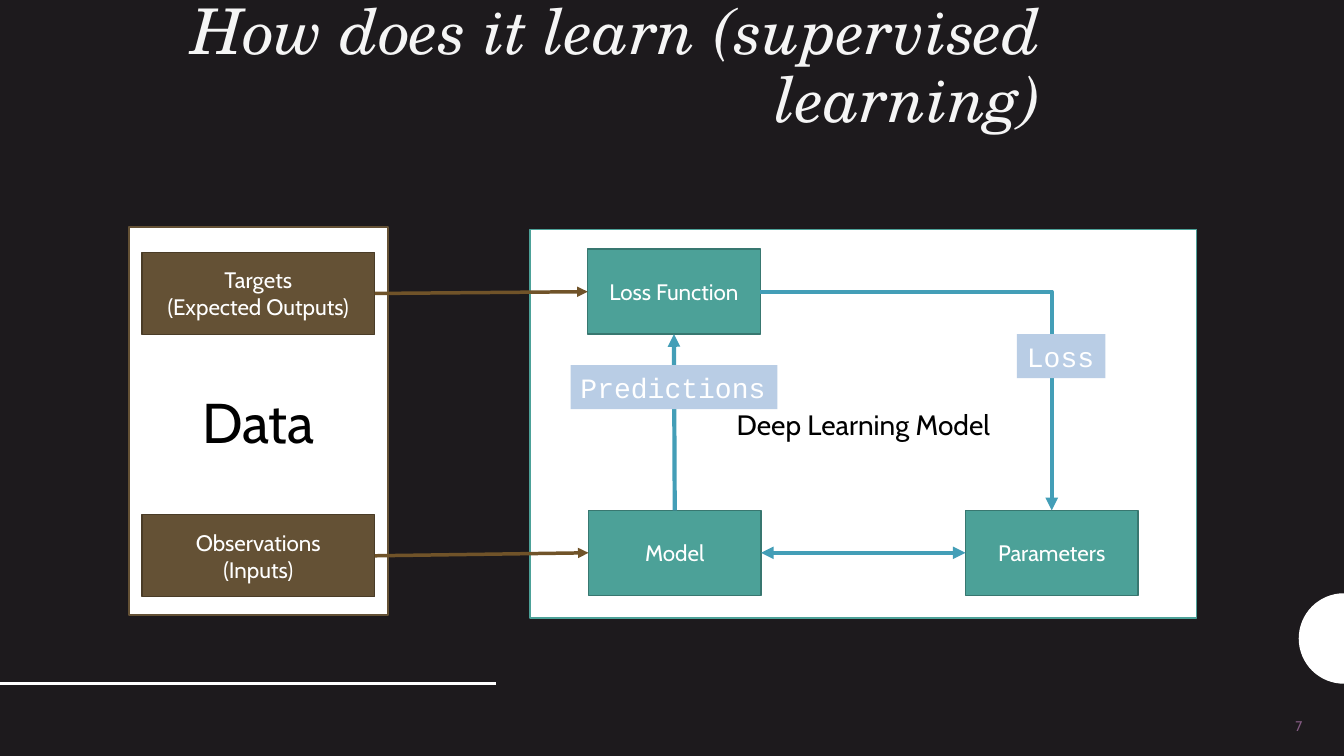
from math import cos, pi, sin
from lxml.etree import SubElement
from pptx import Presentation
from pptx.dml.color import RGBColor
from pptx.enum.shapes import MSO_CONNECTOR, MSO_SHAPE
from pptx.enum.text import MSO_ANCHOR, PP_ALIGN
from pptx.oxml.ns import qn
from pptx.util import Cm, Pt

DARK = RGBColor(0x1D, 0x1A, 0x1D)
WHITE = RGBColor(0xFF, 0xFF, 0xFF)
BLACK = RGBColor(0x00, 0x00, 0x00)
PALE = RGBColor(0xF5, 0xF5, 0xF5)
PLUM = RGBColor(0x83, 0x5B, 0x82)
BROWN = RGBColor(0x64, 0x51, 0x35)
UMBER = RGBColor(0x4A, 0x3C, 0x27)
OCHRE = RGBColor(0x70, 0x53, 0x29)
TEAL = RGBColor(0x4C, 0xA1, 0x98)
PINE = RGBColor(0x38, 0x77, 0x70)
BLUE = RGBColor(0x43, 0x9E, 0xB7)
MIST = RGBColor(0xB9, 0xCD, 0xE5)

deck = Presentation()
deck.slide_width, deck.slide_height = Cm(33.87), Cm(19.05)
slide = deck.slides.add_slide(deck.slide_layouts[6])
slide.background.fill.solid()
slide.background.fill.fore_color.rgb = DARK
shapes = slide.shapes


def write(shape, text, size, color, font="Cabin", align=PP_ALIGN.CENTER,
          anchor=MSO_ANCHOR.MIDDLE, wrap=True):
    frame = shape.text_frame
    frame.text = text
    frame.word_wrap = wrap
    frame.vertical_anchor = anchor
    for para in frame.paragraphs:
        para.alignment = align
        for run in para.runs:
            run.font.name = font
            run.font.size = Pt(size)
            run.font.color.rgb = color


def add_box(left, top, width, height, fill, edge=None):
    box = shapes.add_shape(MSO_SHAPE.RECTANGLE, Cm(left), Cm(top), Cm(width), Cm(height))
    box.shadow.inherit = False
    box.fill.solid()
    box.fill.fore_color.rgb = fill
    if edge is None:
        box.line.fill.background()
    else:
        box.line.color.rgb = edge
        box.line.width = Pt(1)
    return box


# Half disc on the right edge
mid, rad, steps = 16.09, 1.14, 32
turns = [pi * i / steps for i in range(steps + 1)]
dots = [(Cm(33.87 - rad * sin(t)), Cm(mid - rad * cos(t))) for t in turns]
path = shapes.build_freeform(*dots[0])
path.add_line_segments(dots[1:], close=True)
disc = path.convert_to_shape()
disc.shadow.inherit = False
disc.fill.solid()
disc.fill.fore_color.rgb = WHITE
disc.line.fill.background()

# Title and page number
title = shapes.add_textbox(Cm(1.14), Cm(0.36), Cm(25.35), Cm(3.2))
write(title, "How does it learn (supervised learning)", 45, PALE, "TeX Gyre Schola",
      PP_ALIGN.RIGHT, MSO_ANCHOR.BOTTOM)
head = title.text_frame.paragraphs[0]
head.line_spacing = 0.9
head.runs[0].font.italic = True
page = shapes.add_textbox(Cm(25.17), Cm(17.78), Cm(7.9), Cm(1.02))
write(page, "7", 10, PLUM, align=PP_ALIGN.RIGHT)

# Panels
data = add_box(3.25, 5.72, 6.53, 9.78, WHITE, BROWN)
write(data, "Data", 40, BLACK)
deep = add_box(13.36, 5.79, 16.8, 9.78, WHITE, TEAL)
write(deep, "Deep Learning Model", 20, BLACK)

# Boxes
nodes = {}
for name, text, left, top, width, height, fill, edge in [
    ("targets", "Targets\n(Expected Outputs)", 3.58, 6.36, 5.86, 2.07, BROWN, UMBER),
    ("inputs", "Observations\n(Inputs)", 3.58, 12.97, 5.86, 2.07, BROWN, UMBER),
    ("loss", "Loss Function", 14.81, 6.28, 4.35, 2.14, TEAL, PINE),
    ("model", "Model", 14.83, 12.86, 4.35, 2.14, TEAL, PINE),
    ("params", "Parameters", 24.33, 12.86, 4.35, 2.14, TEAL, PINE),
]:
    nodes[name] = add_box(left, top, width, height, fill, edge)
    write(nodes[name], text, 16, WHITE)

# Links: from, side, to, side, colour, width, arrowheads
rule = shapes.add_connector(MSO_CONNECTOR.STRAIGHT, 0, Cm(17.22), Cm(12.5), Cm(17.22))
links = [(rule, WHITE, 2, [])]
for start, out, end, into, color, width, tips in [
    ("model", 0, "loss", 2, BLUE, 3, ["tailEnd"]),
    ("loss", 3, "params", 0, BLUE, 3, ["tailEnd"]),
    ("targets", 3, "loss", 1, OCHRE, 2.5, ["tailEnd"]),
    ("inputs", 3, "model", 1, OCHRE, 2.5, ["tailEnd"]),
    ("model", 3, "params", 1, BLUE, 3, ["headEnd", "tailEnd"]),
]:
    bent = (out, into) == (3, 0)
    kind = MSO_CONNECTOR.ELBOW if bent else MSO_CONNECTOR.STRAIGHT
    link = shapes.add_connector(kind, 0, 0, 0, 0)
    link.begin_connect(nodes[start], out)
    link.end_connect(nodes[end], into)
    if bent:
        link._element.spPr.find(qn("a:prstGeom")).set("prst", "bentConnector2")
    links.append((link, color, width, tips))

for link, color, width, tips in links:
    link.line.color.rgb = color
    link.line.width = Pt(width)
    for tip in tips:
        SubElement(link.line._get_or_add_ln(), qn("a:" + tip), type="triangle")
    SubElement(link._element.spPr, qn("a:effectLst"))

# Labels over the links
for text, left, top, width in [("Loss", 25.63, 8.42, 2.23), ("Predictions", 14.38, 9.2, 5.21)]:
    label = add_box(left, top, width, 1.11, MIST)
    write(label, text, 20, WHITE, "Courier New", PP_ALIGN.LEFT, MSO_ANCHOR.TOP, False)

deck.save("out.pptx")
